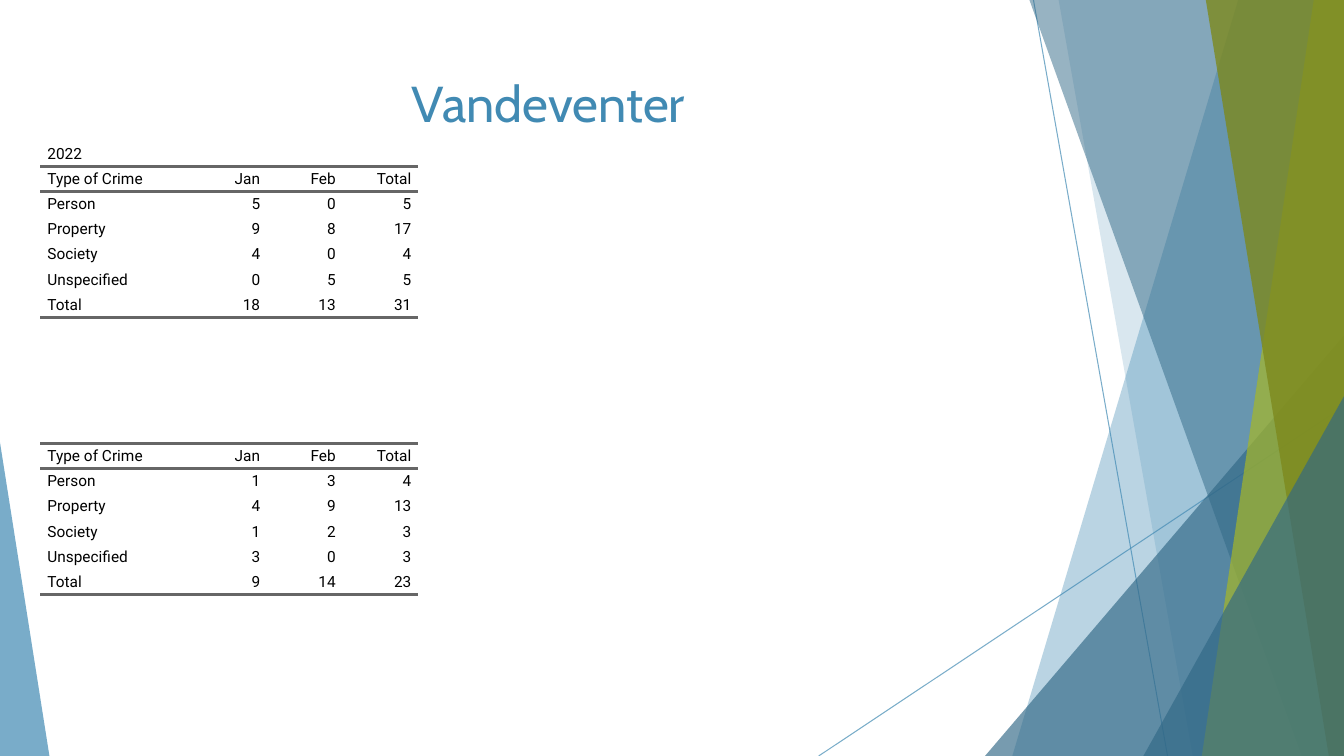
from lxml.etree import SubElement
from pptx import Presentation
from pptx.dml.color import RGBColor
from pptx.enum.shapes import MSO_CONNECTOR, MSO_SHAPE
from pptx.enum.text import MSO_ANCHOR, MSO_AUTO_SIZE, PP_ALIGN
from pptx.oxml.ns import qn
from pptx.util import Inches, Pt

WIDTH, HEIGHT = 13.33, 7.5
BLUE, DARK_BLUE, LIME, OLIVE = "418AB3", "316886", "A6B727", "7D891D"
ROW_HEIGHT = 0.25
COLUMN_WIDTHS = [1.5, 0.75, 0.75, 0.75]
NO_STYLE = "{2D5ABB26-0587-4C30-8999-92F81FD0307C}"


def paint(color_format, color, opacity=100):
    """Set a solid colour from a hex string, with opacity in percent."""
    color_format.rgb = RGBColor.from_string(color)
    if opacity < 100:
        for value in color_format._xFill.iter(qn("a:srgbClr")):
            SubElement(value, qn("a:alpha"), val=str(opacity * 1000))


def write(frame, text, font, size, color, align=PP_ALIGN.LEFT):
    paragraph = frame.paragraphs[0]
    paragraph.alignment = align
    run = paragraph.add_run()
    run.text = text
    run.font.name = font
    run.font.size = Pt(size)
    paint(run.font.color, color)


prs = Presentation()
prs.slide_width, prs.slide_height = Inches(WIDTH), Inches(HEIGHT)
slide = prs.slides.add_slide(prs.slide_layouts[5])
shapes = slide.shapes

# Thin crossing lines
for start_x, start_y, end_x in [(10.25, 0, 11.58), (WIDTH, 4.03, 8.12)]:
    ray = shapes.add_connector(MSO_CONNECTOR.STRAIGHT, Inches(start_x),
                               Inches(start_y), Inches(end_x), Inches(HEIGHT))
    ray.line.width = Pt(0.75)
    ray.line.fill.solid()
    paint(ray.line.fill.fore_color, BLUE, 70)
    SubElement(ray._element.spPr, qn("a:effectLst"))

# Facets from back to front: bands give top and bottom x of their slanted edge,
# wedges give left, top, width and the position of the apex
facets = [
    ("band", (12.28, 10.04), BLUE, 36),
    ("band", (10.5, 11.83), BLUE, 20),
    ("wedge", (9.77, 3.33, 3.56, 1), DARK_BLUE, 66),
    ("band", (10.21, 12.91), DARK_BLUE, 50),
    ("band", (13.03, 11.92), LIME, 70),
    ("band", (11.96, 13.18), OLIVE, 80),
    ("wedge", (11.34, 3.93, 1.99, 1), DARK_BLUE, 66),
    ("wedge", (0, 4.39, 0.49, 0), BLUE, 70),
]
for kind, geometry, color, opacity in facets:
    if kind == "band":
        top_x, bottom_x = geometry
        outline = shapes.build_freeform(Inches(top_x), 0)
        corners = [(WIDTH, 0), (WIDTH, HEIGHT), (bottom_x, HEIGHT)]
        outline.add_line_segments([(Inches(x), Inches(y)) for x, y in corners])
        facet = outline.convert_to_shape()
    else:
        left, top, width, apex = geometry
        facet = shapes.add_shape(MSO_SHAPE.ISOSCELES_TRIANGLE, Inches(left), Inches(top),
                                 Inches(width), Inches(HEIGHT - top))
        facet.adjustments[0] = apex
    facet.shadow.inherit = False
    facet.line.fill.background()
    facet.fill.solid()
    paint(facet.fill.fore_color, color, opacity)

# Crime tables
header = ["Type of Crime", "Jan", "Feb", "Total"]
crime_counts = [
    (1.4, [
        ["2022"],
        header,
        ["Person", "5", "0", "5"],
        ["Property", "9", "8", "17"],
        ["Society", "4", "0", "4"],
        ["Unspecified", "0", "5", "5"],
        ["Total", "18", "13", "31"],
    ]),
    (4.4, [
        header,
        ["Person", "1", "3", "4"],
        ["Property", "4", "9", "13"],
        ["Society", "1", "2", "3"],
        ["Unspecified", "3", "0", "3"],
        ["Total", "9", "14", "23"],
    ]),
]
for top, rows in crime_counts:
    holder = shapes.add_table(len(rows), len(header), Inches(0.4), Inches(top),
                              Inches(sum(COLUMN_WIDTHS)), Inches(ROW_HEIGHT * len(rows)))
    for style in holder._element.iter(qn("a:tableStyleId")):
        style.text = NO_STYLE
    crimes = holder.table
    crimes.first_row = crimes.horz_banding = False
    for column, width in zip(crimes.columns, COLUMN_WIDTHS):
        column.width = Inches(width)
    for r, row in enumerate(rows):
        crimes.rows[r].height = Inches(ROW_HEIGHT)
        if len(row) == 1:
            crimes.cell(r, 0).merge(crimes.cell(r, len(header) - 1))
        edges = ["a:lnT", "a:lnB"] if row is header else ["a:lnB"] if r == len(rows) - 1 else []
        for c, text in enumerate(row):
            cell = crimes.cell(r, c)
            cell.vertical_anchor = MSO_ANCHOR.MIDDLE
            cell.margin_top = cell.margin_bottom = 0
            cell.margin_left = cell.margin_right = Inches(0.07)
            for edge in edges:
                border = SubElement(cell._tc.get_or_add_tcPr(), qn(edge), w=str(Pt(2)))
                SubElement(SubElement(border, qn("a:solidFill")), qn("a:srgbClr"), val="666666")
            cell.fill.background()
            write(cell.text_frame, text, "Roboto", 11, "000000",
                  align=PP_ALIGN.RIGHT if c else PP_ALIGN.LEFT)

# Title
title = shapes.title
title.left, title.top = Inches(0.74), Inches(0.67)
title.width, title.height = Inches(9.4), Inches(1.44)
title.text_frame.auto_size = MSO_AUTO_SIZE.NONE
title.text_frame.vertical_anchor = MSO_ANCHOR.TOP
write(title.text_frame, "Vandeventer", "Cabin", 36, BLUE, align=PP_ALIGN.CENTER)

prs.save("out.pptx")
